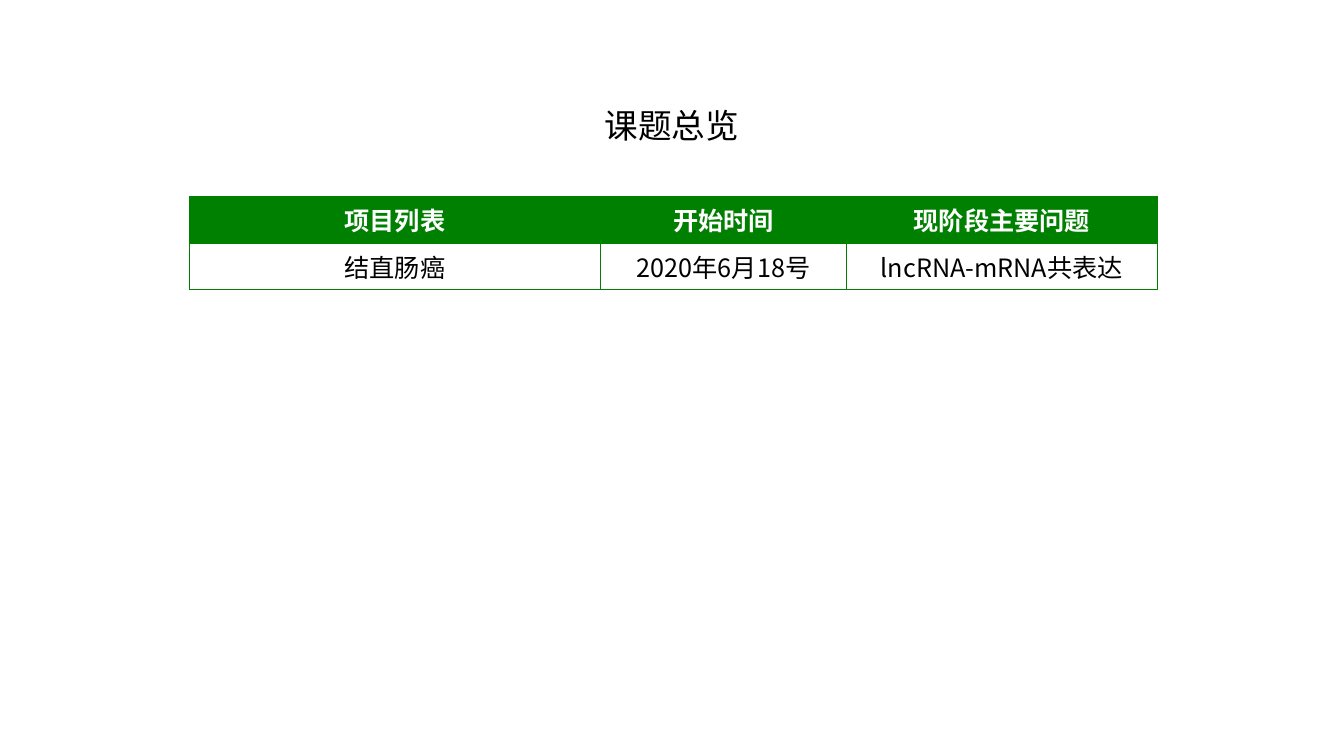
from lxml import etree
from pptx import Presentation
from pptx.dml.color import RGBColor
from pptx.enum.text import MSO_ANCHOR, MSO_AUTO_SIZE, PP_ALIGN
from pptx.oxml.ns import qn
from pptx.util import Pt

LEFT = PP_ALIGN.LEFT
CENTER = PP_ALIGN.CENTER
MIDDLE = MSO_ANCHOR.MIDDLE
NO_AUTO_SIZE = MSO_AUTO_SIZE.NONE
FONT = "Noto Sans CJK SC"
COLORS = {"green": "008000", "white": "FFFFFF", "black": "000000"}


def write_text(text_frame, text, size=18, color="black", bold=False, align=CENTER):
    paragraph = text_frame.paragraphs[0]
    paragraph.alignment = align
    run = paragraph.add_run()
    run.text = text
    run.font.size = Pt(size)
    run.font.bold = bold
    run.font.name = FONT
    run.font.color.rgb = RGBColor.from_string(COLORS[color])
    etree.SubElement(run.font._element, qn("a:ea"), typeface=FONT)


def add_borders(cell, color, width):
    properties = cell._tc.get_or_add_tcPr()
    for index, side in enumerate(("lnL", "lnR", "lnT", "lnB")):
        line = etree.Element(qn(f"a:{side}"), w=str(Pt(width)))
        fill = etree.SubElement(line, qn("a:solidFill"))
        etree.SubElement(fill, qn("a:srgbClr"), val=COLORS[color])
        properties.insert(index, line)


presentation = Presentation()
presentation.slide_width = Pt(960)
presentation.slide_height = Pt(540)
slide = presentation.slides.add_slide(presentation.slide_layouts[5])

title = slide.shapes.title
title.left, title.top, title.width, title.height = Pt(424.8), Pt(71), Pt(111.6), Pt(36)
title.text_frame.word_wrap = False
title.text_frame.auto_size = NO_AUTO_SIZE
title.text_frame.vertical_anchor = MIDDLE
write_text(title.text_frame, "课题总览", size=24, align=LEFT)

rows = [
    ["项目列表", "开始时间", "现阶段主要问题"],
    ["结直肠癌", "2020年6月18号", "lncRNA-mRNA共表达"],
]
column_widths = [293.8, 175.7, 221.8]
row_heights = [27.4, 29.5]

table = slide.shapes.add_table(
    len(rows), len(column_widths), Pt(135.2), Pt(140.2), Pt(sum(column_widths)), Pt(sum(row_heights))
).table
for column, width in zip(table.columns, column_widths):
    column.width = Pt(width)
for row, height in zip(table.rows, row_heights):
    row.height = Pt(height)

for row_index, texts in enumerate(rows):
    is_header = row_index == 0
    for column_index, text in enumerate(texts):
        cell = table.cell(row_index, column_index)
        cell.vertical_anchor = MIDDLE
        if is_header:
            cell.fill.solid()
            cell.fill.fore_color.rgb = RGBColor.from_string(COLORS["green"])
        else:
            cell.fill.background()
        add_borders(cell, "green", 0.5)
        write_text(cell.text_frame, text, color="white" if is_header else "black", bold=is_header)

presentation.save("out.pptx")
